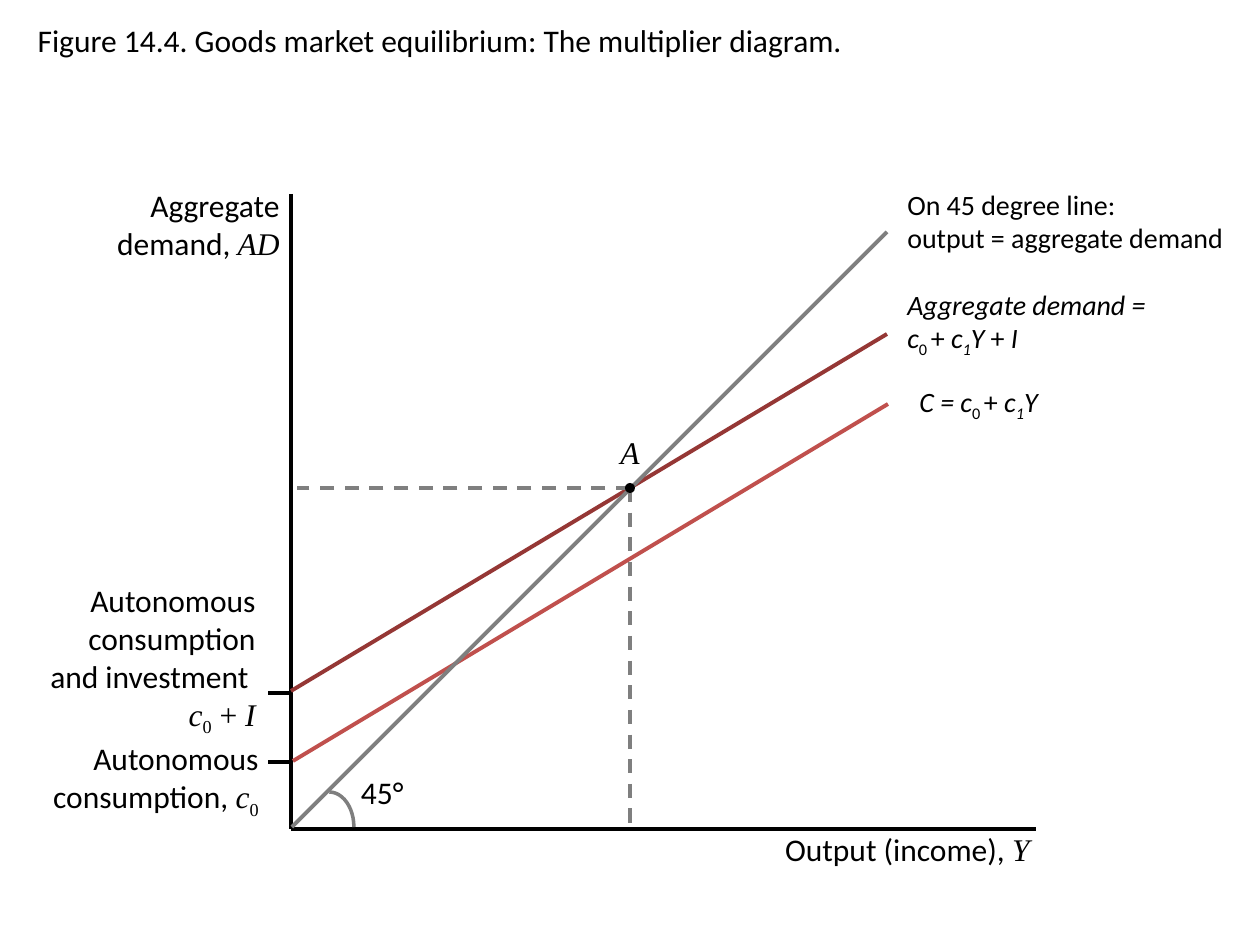
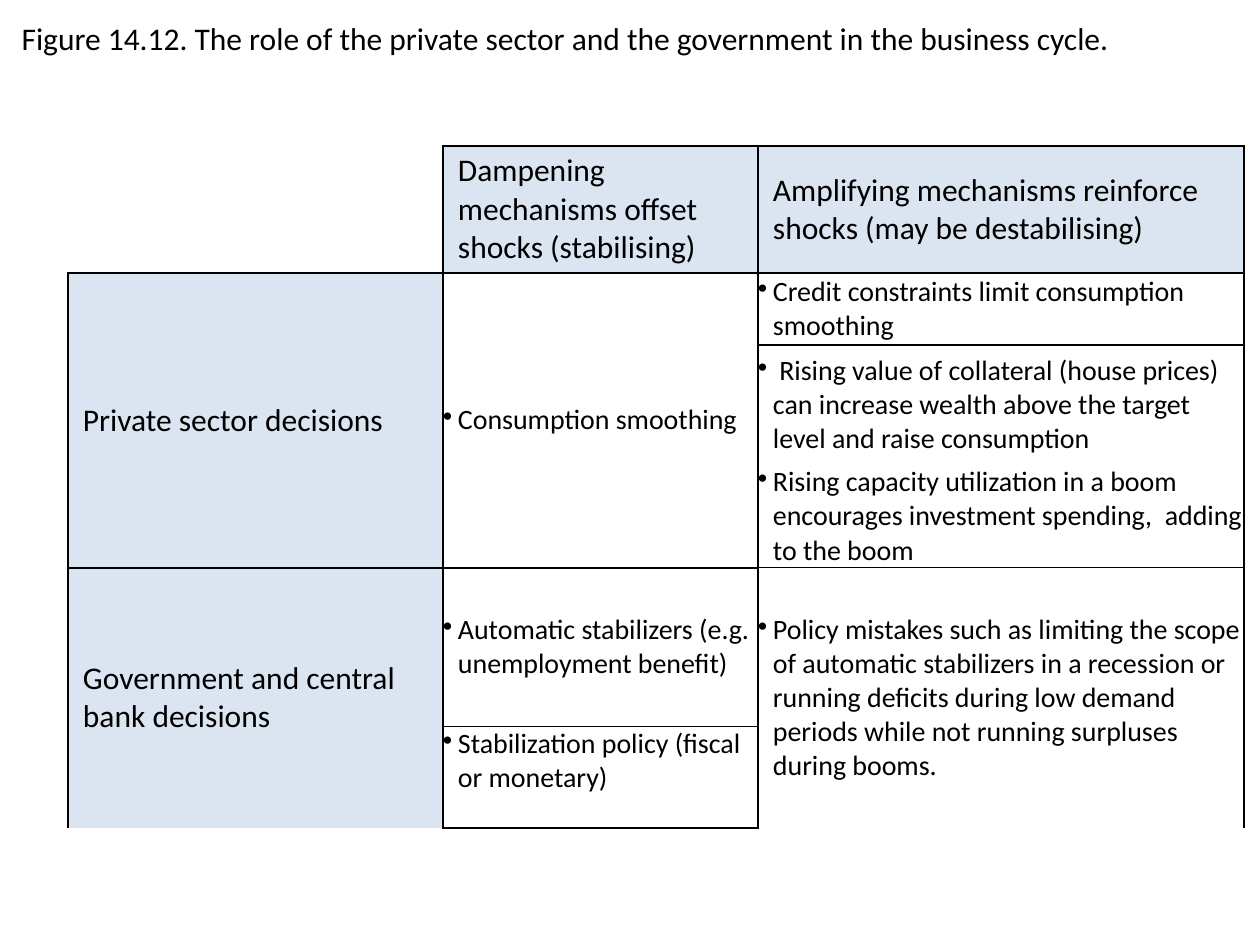
import pptx
import pptx.dml.color
import pptx.enum.dml
import pptx.enum.shapes
import pptx.enum.text
import pptx.oxml
import pptx.oxml.ns
import pptx.util

BLACK = pptx.dml.color.RGBColor(0x00, 0x00, 0x00)
GREY = pptx.dml.color.RGBColor(0x7F, 0x7F, 0x7F)
RED = pptx.dml.color.RGBColor(0xC0, 0x50, 0x4D)
DARK_RED = pptx.dml.color.RGBColor(0x95, 0x37, 0x35)
PALE_BLUE = pptx.dml.color.RGBColor(0xDB, 0xE5, 0xF1)

LEFT = pptx.enum.text.PP_ALIGN.LEFT
RIGHT = pptx.enum.text.PP_ALIGN.RIGHT
MIDDLE = pptx.enum.text.MSO_ANCHOR.MIDDLE
SHAPES = pptx.enum.shapes.MSO_SHAPE

PX_PER_INCH = 126
NO_GRID_STYLE = "{2D5ABB26-0587-4C30-8999-92F81FD0307C}"
THICK, THIN = 1.5, 1

# Run styles: plain, italic, and the serif face for symbols
STYLES = {
    "plain": {"name": "Calibri"},
    "italic": {"name": "Calibri", "italic": True},
    "serif": {"name": "Times New Roman"},
    "symbol": {"name": "Times New Roman", "italic": True},
}


def px(length):
    return pptx.util.Emu(round(length * 914400 / PX_PER_INCH))


def apply(target, values):
    for name, value in values.items():
        setattr(target, name, value)


def write(paragraph, runs, size, align=LEFT):
    """Fill a paragraph; a run is (text, style) or (text, style, "sub")."""
    paragraph.alignment = align
    if isinstance(runs, str):
        runs = [(runs, "plain")]
    for text, style, *position in runs:
        run = paragraph.add_run()
        run.text = text
        apply(run.font, {"size": pptx.util.Pt(size), **STYLES[style]})
        run.font.color.rgb = BLACK
        if position:
            run.font._element.set("baseline", "-25000")


def add_label(slide, box, lines, size=18, align=LEFT, wrap=True):
    frame = slide.shapes.add_textbox(*map(px, box)).text_frame
    frame.word_wrap = wrap
    for index, runs in enumerate(lines):
        paragraph = frame.add_paragraph() if index else frame.paragraphs[0]
        write(paragraph, runs, size, align)


def add_titled_slide(deck, title, left, top):
    slide = deck.slides.add_slide(deck.slide_layouts[5])
    heading = slide.shapes.title
    apply(heading, {"left": px(left), "top": px(top),
                    "width": px(1235), "height": px(50)})
    heading.text_frame.vertical_anchor = pptx.enum.text.MSO_ANCHOR.TOP
    write(heading.text_frame.paragraphs[0], title, 18)
    return slide


def add_line(slide, start, end, color=BLACK, width=2, dashed=False):
    line = slide.shapes.add_connector(
        pptx.enum.shapes.MSO_CONNECTOR.STRAIGHT, *map(px, start + end))
    line.line.color.rgb = color
    line.line.width = pptx.util.Pt(width)
    if dashed:
        line.line.dash_style = pptx.enum.dml.MSO_LINE.DASH
    pptx.oxml.ns.qn("a:effectLst")
    line._element.spPr.append(pptx.oxml.parse_xml(
        f"<a:effectLst {pptx.oxml.ns.nsdecls('a')}/>"))


def add_angle_arc(slide, box):
    arc = slide.shapes.add_shape(SHAPES.ARC, *map(px, box))
    arc.shadow.inherit = False
    arc.fill.background()
    arc.line.color.rgb = GREY
    arc.line.width = pptx.util.Pt(2)


def add_point(slide, center, diameter):
    x, y = center
    point = slide.shapes.add_shape(
        SHAPES.OVAL, px(x - diameter / 2), px(y - diameter / 2),
        px(diameter), px(diameter))
    point.shadow.inherit = False
    point.fill.solid()
    point.fill.fore_color.rgb = BLACK
    point.line.fill.background()


def build_multiplier_diagram(deck):
    slide = add_titled_slide(
        deck, "Figure 14.4. Goods market equilibrium: The multiplier diagram.",
        25, 15)
    axis_x, axis_y = 291, 829
    equilibrium = (630, 488)

    # Axes and the intercept ticks
    add_line(slide, (axis_x, 194), (axis_x, axis_y))
    add_line(slide, (1036, axis_y), (axis_x, axis_y))
    for intercept in (762, 693):
        add_line(slide, (292, intercept), (268, intercept))
    add_label(slide, (44, 180, 248, 89),
              [[("Aggregate demand, ", "plain"), ("AD", "symbol")]], align=RIGHT)
    add_label(slide, (748, 824, 294, 50),
              [[("Output (income), ", "plain"), ("Y", "symbol")]], align=RIGHT)
    add_label(slide, (23, 733, 248, 89),
              [[("Autonomous consumption, ", "plain"), ("c", "symbol"),
                ("0", "serif", "sub")]], align=RIGHT)
    add_label(slide, (0, 575, 268, 165),
              ["Autonomous consumption", "and investment ",
               [("c", "symbol"), ("0", "serif", "sub"), (" + ", "serif"),
                ("I", "symbol")]], align=RIGHT)

    # Consumption and demand lines
    consumption = [("c", "italic"), ("0 ", "plain", "sub"), ("+ ", "plain"),
                   ("c", "italic"), ("1", "italic", "sub"), ("Y", "italic")]
    add_line(slide, (888, 404), (293, 761), RED, 2.25)
    add_label(slide, (895, 378, 155, 47), [[("C = ", "italic")] + consumption],
              16, RIGHT, wrap=False)
    add_line(slide, (887, 334), (291, 691), DARK_RED, 2.25)
    add_label(slide, (895, 281, 365, 81),
              [[("Aggregate demand =", "italic")],
               consumption + [(" + ", "plain"), ("I", "italic")]], 16)

    # 45 degree line
    add_line(slide, (887, 232), (292, 827), GREY, 2.25)
    add_label(slide, (895, 181, 365, 81),
              ["On 45 degree line:", "output = aggregate demand"], 16)
    add_angle_arc(slide, (305, 792, 49, 70))
    add_label(slide, (348, 767, 68, 50), ["45°"], align=RIGHT, wrap=False)

    # Equilibrium
    add_line(slide, equilibrium, (630, 827), GREY, dashed=True)
    add_line(slide, equilibrium, (297, 488), GREY, dashed=True)
    add_point(slide, equilibrium, 10)
    add_label(slide, (608, 427, 46, 50), [[("A", "symbol")]], wrap=False)


def set_borders(cell, widths):
    """Draw the sides given in widths, keyed L, R, T, B in that order."""
    properties = cell._tc.get_or_add_tcPr()
    for side, width in widths.items():
        properties.append(pptx.oxml.parse_xml(
            f'<a:ln{side} {pptx.oxml.ns.nsdecls("a")} w="{round(width * 12700)}">'
            f'<a:solidFill><a:srgbClr val="{BLACK}"/></a:solidFill></a:ln{side}>'))


def frame_block(table, rows, column, left, right, top, bottom):
    """Outline a run of cells in one column, with no lines between its rows."""
    for row in rows:
        widths = {"L": left, "R": right}
        if row == rows[0]:
            widths["T"] = top
        if row == rows[-1]:
            widths["B"] = bottom
        set_borders(table.cell(row, column), widths)


def write_heading(cell, text):
    cell.fill.solid()
    cell.fill.fore_color.rgb = PALE_BLUE
    paragraph = cell.text_frame.paragraphs[0]
    paragraph._p.get_or_add_pPr().set("marL", str(px(15)))
    write(paragraph, text, 18)


def write_bullet(cell, text):
    paragraph = cell.text_frame.paragraphs[0]
    properties = paragraph._p.get_or_add_pPr()
    properties.set("marL", str(px(15)))
    properties.set("indent", str(px(-15)))
    properties.append(pptx.oxml.parse_xml(
        f'<a:buChar {pptx.oxml.ns.nsdecls("a")} char="•"/>'))
    write(paragraph, text, 16)


def build_business_cycle_table(deck):
    slide = add_titled_slide(
        deck, "Figure 14.12. The role of the private sector and the "
        "government in the business cycle.", 9, 13)
    widths = [375, 315, 486]
    heights = [127, 72, 120, 101, 159, 68, 33]
    table = slide.shapes.add_table(
        len(heights), len(widths), px(68), px(146),
        px(sum(widths)), px(sum(heights))).table
    apply(table, {"first_row": False, "horz_banding": False})
    table._tbl.tblPr.find(pptx.oxml.ns.qn("a:tableStyleId")).text = NO_GRID_STYLE
    for column, width in zip(table.columns, widths):
        column.width = px(width)
    for row, height in zip(table.rows, heights):
        row.height = px(height)

    # Borders: thick around headings, thin around the body
    private, government = range(1, 4), range(4, 7)
    set_borders(table.cell(0, 0), {"R": THICK, "B": THICK})
    for column in (1, 2):
        frame_block(table, range(1), column, THICK, THICK, THICK, THICK)
    for sector, top in ((private, THICK), (government, THIN)):
        frame_block(table, sector, 0, THICK, THICK, THICK, THICK)
        frame_block(table, sector, 1, THICK, THIN, top, THIN)
        frame_block(table, sector, 2, THIN, THIN, top, THIN)
    for first, last, column in ((1, 3, 0), (1, 3, 1), (4, 6, 0), (4, 6, 2)):
        table.cell(first, column).merge(table.cell(last, column))

    margins = dict.fromkeys(
        ("margin_left", "margin_right", "margin_top", "margin_bottom"), 0)
    for cell in table.iter_cells():
        apply(cell, {**margins, "vertical_anchor": MIDDLE})
        cell.fill.background()
        cell.text_frame.paragraphs[0]._p.get_or_add_endParaRPr().set("sz", "1200")

    # Wording by row and column
    headings = {
        (0, 1): "Dampening mechanisms offset shocks (stabilising)",
        (0, 2): "Amplifying mechanisms reinforce shocks (may be destabilising)",
        (1, 0): "Private sector decisions",
        (4, 0): "Government and central bank decisions",
    }
    mechanisms = {
        (1, 1): "Consumption smoothing",
        (1, 2): "Credit constraints limit consumption smoothing",
        (2, 2): " Rising value of collateral (house prices) can increase "
                "wealth above the target level and raise consumption",
        (3, 2): "Rising capacity utilization in a boom encourages "
                "investment spending,  adding to the boom",
        (4, 1): "Automatic stabilizers (e.g. unemployment benefit)",
        (4, 2): "Policy mistakes such as limiting the scope of automatic "
                "stabilizers in a recession or running deficits during low "
                "demand periods while not running surpluses during booms.",
        (5, 1): "Stabilization policy (fiscal or monetary)",
    }
    for place, text in headings.items():
        write_heading(table.cell(*place), text)
    for place, text in mechanisms.items():
        write_bullet(table.cell(*place), text)


def main():
    deck = pptx.Presentation()
    apply(deck, {"slide_width": px(1260), "slide_height": px(945)})
    build_multiplier_diagram(deck)
    build_business_cycle_table(deck)
    deck.save("out.pptx")


if __name__ == "__main__":
    main()
